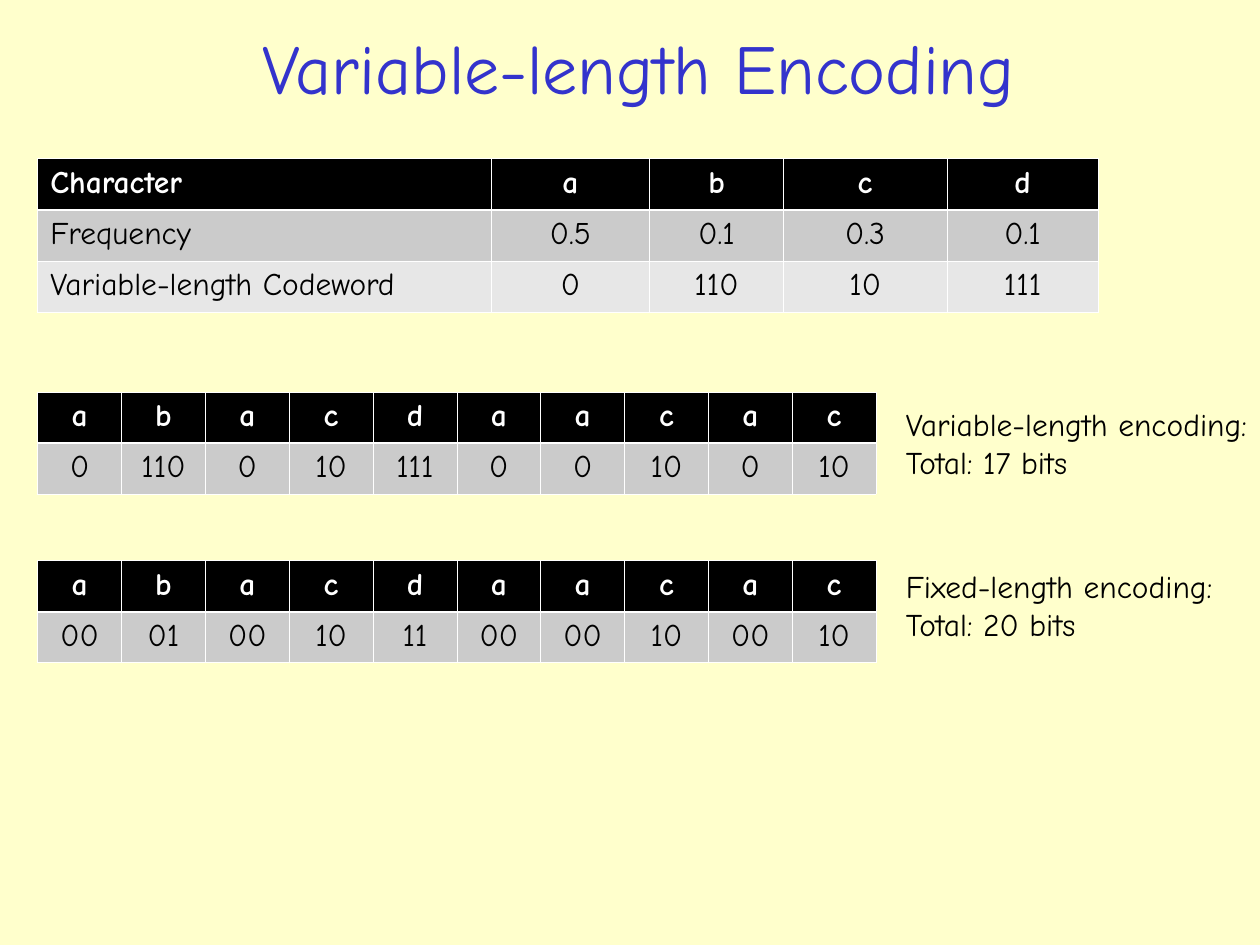
from lxml.etree import SubElement
from pptx import Presentation
from pptx.dml.color import RGBColor
from pptx.enum.text import MSO_ANCHOR as Anchor, MSO_AUTO_SIZE as AutoSize, PP_ALIGN as Align
from pptx.oxml.ns import qn
from pptx.util import Cm, Pt

FONT = "Comic Neue"
CREAM = RGBColor(0xFF, 0xFF, 0xCC)
BLUE = RGBColor(0x33, 0x33, 0xCC)
BLACK = RGBColor(0, 0, 0)
WHITE = RGBColor(0xFF, 0xFF, 0xFF)
GREY = RGBColor(0xCB, 0xCB, 0xCB)
PALE_GREY = RGBColor(0xE7, 0xE7, 0xE7)
ROW_FILLS = (BLACK, GREY, PALE_GREY)

THIN, THICK = Pt(0.45), Pt(1.47)
LEFT = 0.76
ROW_HEIGHT = 1.03
MESSAGE_COLUMN = 1.69

FREQUENCIES = {"a": "0.5", "b": "0.1", "c": "0.3", "d": "0.1"}
VARIABLE_CODE = {"a": "0", "b": "110", "c": "10", "d": "111"}
FIXED_CODE = {"a": "00", "b": "01", "c": "10", "d": "11"}
MESSAGE = "abacdaacac"


def write(frame, text, size=18, color=BLACK, bold=False, align=Align.LEFT):
    frame.text = text
    for paragraph in frame.paragraphs:
        paragraph.alignment = align
        font = paragraph.runs[0].font
        font.name, font.size, font.bold = FONT, Pt(size), bold
        font.color.rgb = color


def add_border(cell, side, width):
    line = SubElement(cell._tc.get_or_add_tcPr(), qn(f"a:ln{side}"), w=str(int(width)))
    fill = SubElement(line, qn("a:solidFill"))
    SubElement(fill, qn("a:srgbClr"), val=str(WHITE))


def style_cell(cell, row):
    """Draw the white borders, thicker below the header, and fill the cell."""
    top = THICK if row == 1 else THIN
    bottom = THICK if row == 0 else THIN
    for side, width in (("L", THIN), ("R", THIN), ("T", top), ("B", bottom)):
        add_border(cell, side, width)
    cell.fill.solid()
    cell.fill.fore_color.rgb = ROW_FILLS[row]


def add_code_table(slide, left, top, widths, rows, label_column=False):
    table = slide.shapes.add_table(
        len(rows), len(widths), Cm(left), Cm(top),
        Cm(sum(widths)), Cm(ROW_HEIGHT * len(rows))).table
    for column, width in zip(table.columns, widths):
        column.width = Cm(width)
    for r, values in enumerate(rows):
        table.rows[r].height = Cm(ROW_HEIGHT)
        for c, value in enumerate(values):
            cell = table.cell(r, c)
            style_cell(cell, r)
            is_label = label_column and c == 0
            write(cell.text_frame, value, bold=r == 0,
                  color=WHITE if r == 0 else BLACK,
                  align=Align.LEFT if is_label else Align.CENTER)


def add_title(slide, left, top, width, height):
    frame = slide.shapes.add_textbox(Cm(left), Cm(top), Cm(width), Cm(height)).text_frame
    frame.word_wrap = True
    frame.vertical_anchor = Anchor.MIDDLE
    write(frame, "Variable-length Encoding", size=40, color=BLUE, align=Align.CENTER)


def add_encoded_message(slide, left, top, name, code, note_top, note_width):
    """Show the message above its codewords, with the bit total to the right."""
    codewords = [code[letter] for letter in MESSAGE]
    widths = [MESSAGE_COLUMN] * len(MESSAGE)
    add_code_table(slide, left, top, widths, [MESSAGE, codewords])

    note_left = left + sum(widths) + 0.35
    note = slide.shapes.add_textbox(
        Cm(note_left), Cm(top + note_top), Cm(note_width), Cm(1.78)).text_frame
    note.word_wrap = False
    note.auto_size = AutoSize.SHAPE_TO_FIT_TEXT
    write(note, f"{name} encoding:\nTotal: {len(''.join(codewords))} bits")


def main():
    deck = Presentation()
    deck.slide_width, deck.slide_height = Cm(25.4), Cm(19.05)
    slide = deck.slides.add_slide(deck.slide_layouts[6])
    slide.background.fill.solid()
    slide.background.fill.fore_color.rgb = CREAM

    add_title(slide, LEFT, 0.38, 24.23, 1.93)
    add_code_table(
        slide, LEFT, 3.2, [9.14, 3.2, 2.69, 3.3, 3.05],
        [["Character", *FREQUENCIES],
         ["Frequency", *FREQUENCIES.values()],
         ["Variable-length Codeword", *VARIABLE_CODE.values()]],
        label_column=True)
    add_encoded_message(slide, LEFT, 7.9, "Variable-length", VARIABLE_CODE,
                        note_top=0.15, note_width=7.42)
    add_encoded_message(slide, LEFT, 11.3, "Fixed-length", FIXED_CODE,
                        note_top=0, note_width=6.71)
    deck.save("out.pptx")


if __name__ == "__main__":
    main()
